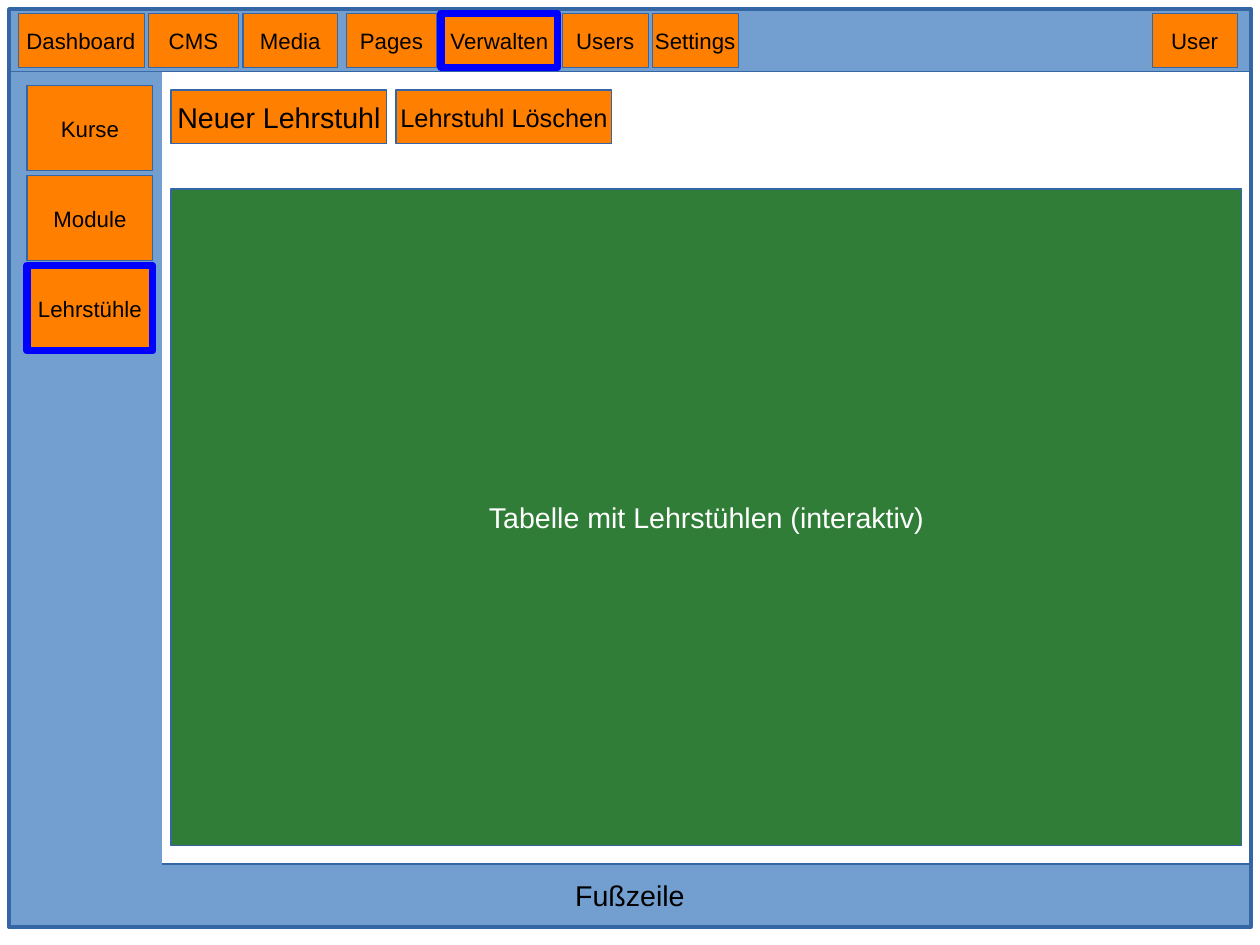
"""Build the wireframe slide of the chair management page."""
import pptx
import pptx.util
import pptx.dml.color
import pptx.enum.shapes
import pptx.enum.text

Cm, Pt = pptx.util.Cm, pptx.util.Pt
RGB = pptx.dml.color.RGBColor
COLORS = {
    "bar": "729FCF",
    "button": "FF7F00",
    "table": "307D37",
    "border": "3465A4",
    "active": "0000FF",
    "text": "000000",
    "light": "FFFFFF",
}


class Wireframe:
    """Hold the style and the current slide."""

    font = "Arial"
    frame_format = {
        "word_wrap": False,
        "vertical_anchor": pptx.enum.text.MSO_ANCHOR.MIDDLE,
    }

    def __init__(self, slide):
        self.s = slide

    def box(self, at, fill=None, line="border", width=0):
        """Add a rectangle, with at given in centimetres."""
        sp = self.s.shapes.add_shape(
            pptx.enum.shapes.MSO_SHAPE.RECTANGLE, *(Cm(v) for v in at))
        sp.shadow.inherit = False
        if fill:
            sp.fill.solid()
            sp.fill.fore_color.rgb = RGB.from_string(COLORS[fill])
        else:
            sp.fill.background()
        if line:
            sp.line.color.rgb = RGB.from_string(COLORS[line])
            sp.line.width = Pt(width)
        else:
            sp.line.fill.background()
        return sp

    def label(self, sp, text, size=18, color="text"):
        """Write one centred line of text into a shape."""
        tf = sp.text_frame
        for name, value in self.frame_format.items():
            setattr(tf, name, value)
        p = tf.paragraphs[0]
        p.alignment = pptx.enum.text.PP_ALIGN.CENTER
        r = p.add_run()
        r.text = text
        for name, value in {"name": self.font, "size": Pt(size)}.items():
            setattr(r.font, name, value)
        r.font.color.rgb = RGB.from_string(COLORS[color])

    def button(self, text, at, size=14, width=0, active=False):
        """Add a button, with a thick border when it is active."""
        line, width = ("active", 4.5) if active else ("border", width)
        self.label(self.box(at, "button", line, width), text, size)


def main():
    """Draw the page and save it."""
    prs = pptx.Presentation()
    prs.slide_width, prs.slide_height = Cm(28), Cm(21)
    page = Wireframe(prs.slides.add_slide(prs.slide_layouts[6]))

    page.box((0.2, 0.2, 27.6, 1.4), "bar")
    page.label(page.box((0.2, 19.2, 27.6, 1.4), "bar"), "Fußzeile")
    page.box((0.2, 1.6, 3.4, 19), "bar", line=None)
    page.box((0.2, 0.2, 27.6, 20.4), width=2.3)

    menu = [
        ("Dashboard", 0.4, 2.8, 0.5),
        ("CMS", 3.3, 2, 0),
        ("Media", 5.4, 2.1, 0),
        ("Pages", 7.7, 2, 0),
        ("Users", 12.5, 1.9, 0.5),
        ("Verwalten", 9.8, 2.6, 0),
        ("Settings", 14.5, 1.9, 0.5),
        ("User", 25.6, 1.9, 0.5),
    ]
    for text, left, w, line in menu:
        page.button(text, (left, 0.3, w, 1.2), width=line,
                    active=text == "Verwalten")

    for i, text in enumerate(["Kurse", "Module", "Lehrstühle"]):
        page.button(text, (0.6, 1.9 + 2 * i, 2.8, 1.9),
                    active=text == "Lehrstühle")

    actions = [("Neuer Lehrstuhl", 18), ("Lehrstuhl Löschen", 16)]
    for i, (text, size) in enumerate(actions):
        page.button(text, (3.8 + 5 * i, 2, 4.8, 1.2), size)

    table = page.box((3.8, 4.2, 23.8, 14.6), "table")
    page.label(table, "Tabelle mit Lehrstühlen (interaktiv)", color="light")

    prs.save("out.pptx")


if __name__ == "__main__":
    main()
